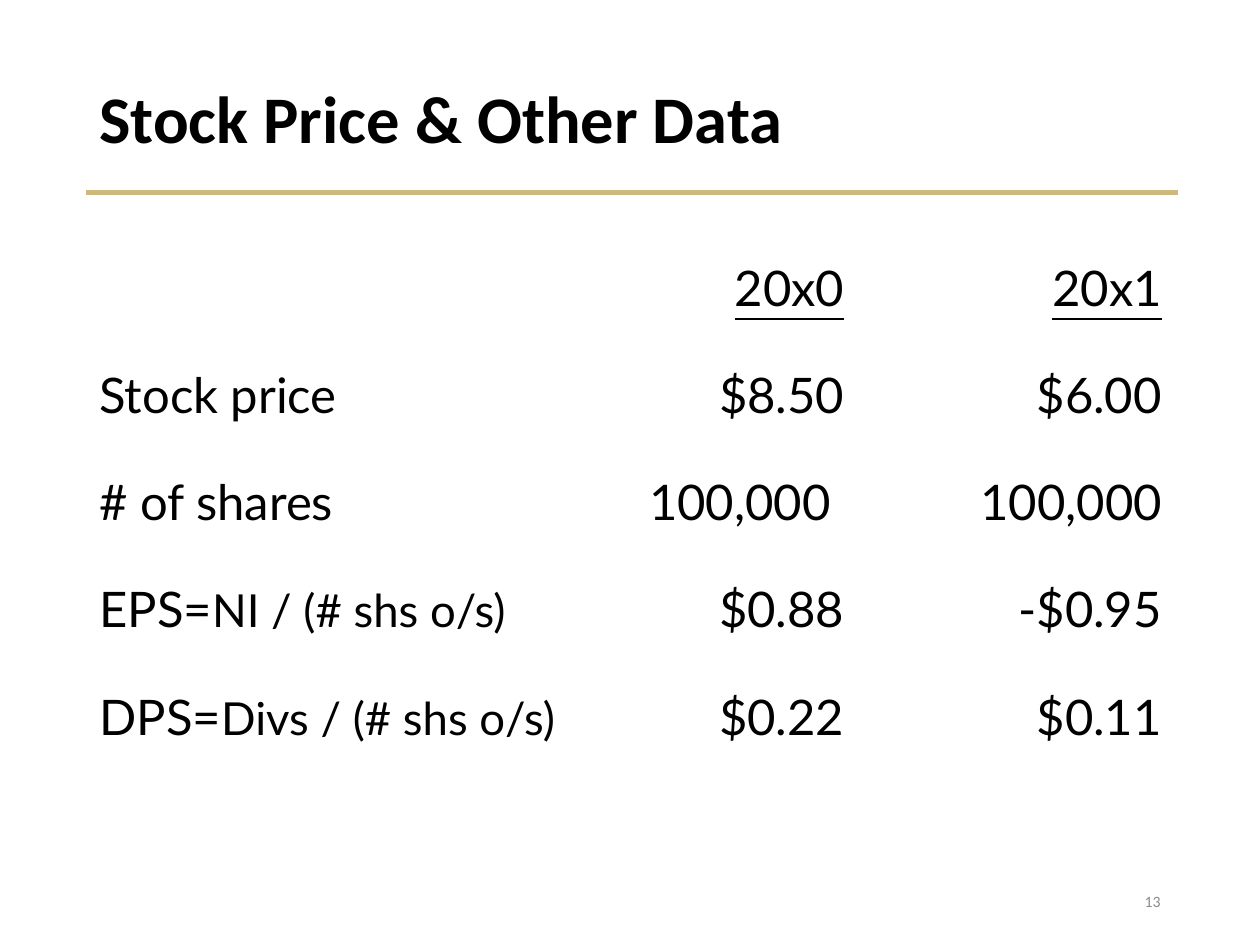
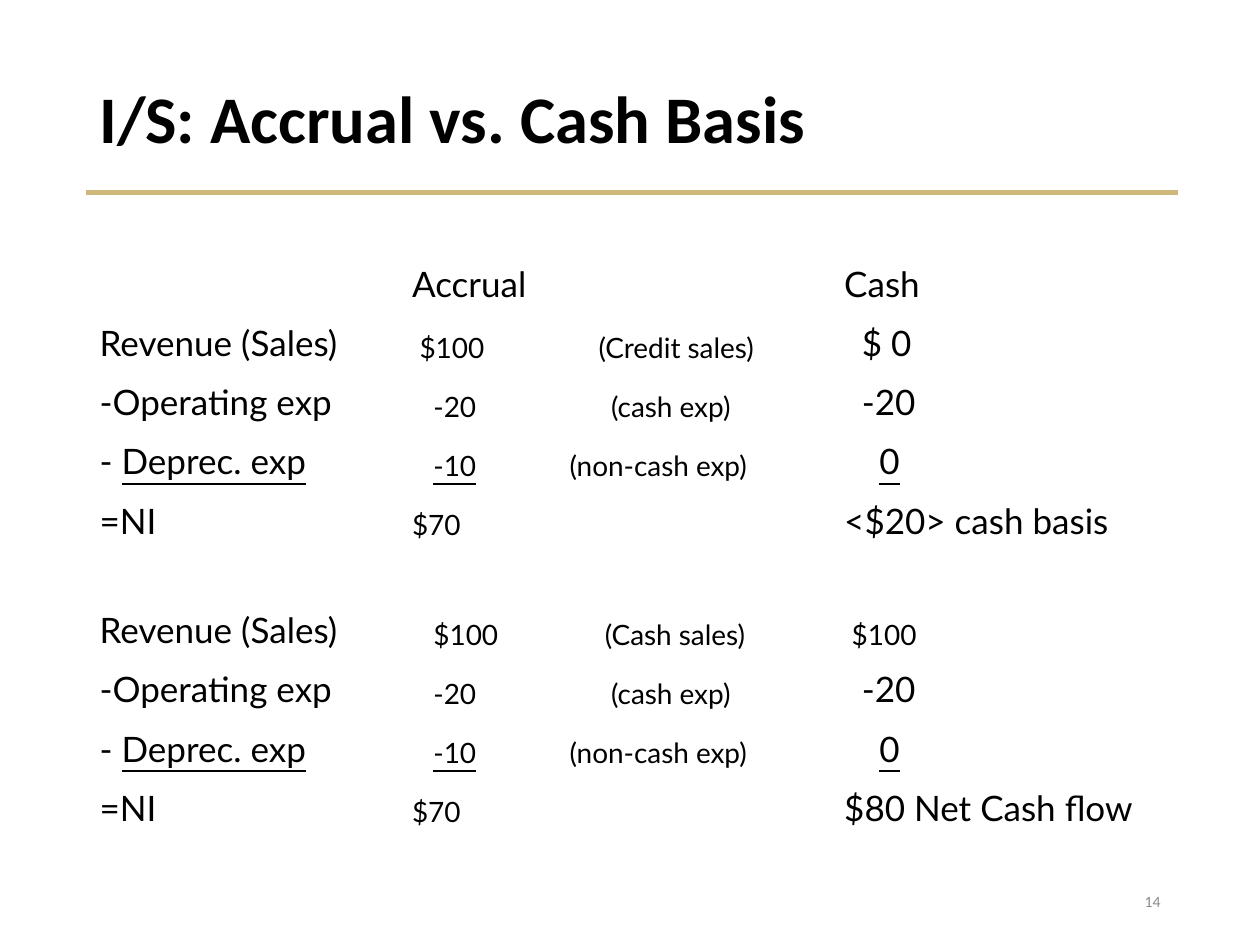
import dataclasses

import lxml.etree
import pptx
import pptx.dml.color
import pptx.enum.shapes
import pptx.enum.text
import pptx.oxml.ns
import pptx.util

Inches = pptx.util.Inches
Align = pptx.enum.text.PP_ALIGN
Anchor = pptx.enum.text.MSO_ANCHOR
qn = pptx.oxml.ns.qn


@dataclasses.dataclass(frozen=True)
class Theme:
    ink: str = "000000"
    gold: str = "CFB87C"
    gray: str = "8C8C8C"
    heading_font: str = "Calibri"
    table_font: str = "Lato"
    title: int = 38
    figure: int = 28
    formula: int = 26
    entry: int = 20
    note: int = 16
    number: int = 9


THEME = Theme()
LEFT = 0.69
WIDTH = 8.62


def add_run(para, text, size, font=THEME.table_font, color=THEME.ink, bold=False, underline=False):
    span = para.add_run()
    span.text = text
    span.font.size = pptx.util.Pt(size)
    span.font.name = font
    span.font.color.rgb = pptx.dml.color.RGBColor.from_string(color)
    span.font.bold = bold
    span.font.underline = underline


def add_plain_table(page, widths, heights):
    """Add a table without header, banding or cell fills."""
    table = page.shapes.add_table(len(heights), len(widths), Inches(LEFT), Inches(2),
                                  Inches(sum(widths)), Inches(sum(heights))).table
    table.first_row = False
    table.horz_banding = False
    for column, width in zip(table.columns, widths):
        column.width = Inches(width)
    for row, height in zip(table.rows, heights):
        row.height = Inches(height)
    for cell in table.iter_cells():
        cell.fill.background()
    return table


deck = pptx.Presentation()
deck.slide_width = Inches(10)
deck.slide_height = Inches(7.5)

# Shared frame: gold rule, title and page number
pages = []
for number, title in ((13, "Stock Price & Other Data"), (14, "I/S: Accrual vs. Cash Basis")):
    page = deck.slides.add_slide(deck.slide_layouts[6])
    pages.append(page)
    rule = page.shapes.add_connector(pptx.enum.shapes.MSO_CONNECTOR.STRAIGHT,
                                     Inches(0.68), Inches(1.53), Inches(9.35), Inches(1.53))
    rule.line.color.rgb = pptx.dml.color.RGBColor.from_string(THEME.gold)
    rule.line.width = pptx.util.Pt(3)
    lxml.etree.SubElement(rule._element.spPr, qn("a:effectLst"))

    title_box = page.shapes.add_textbox(Inches(LEFT), Inches(0.4), Inches(WIDTH), Inches(1.13))
    number_box = page.shapes.add_textbox(Inches(7.06), Inches(6.95), Inches(2.25), Inches(0.4))
    for box in (title_box, number_box):
        box.text_frame.word_wrap = True
        box.text_frame.vertical_anchor = Anchor.MIDDLE
    para = title_box.text_frame.paragraphs[0]
    para.line_spacing = 0.9
    add_run(para, title, THEME.title, THEME.heading_font, bold=True)
    para = number_box.text_frame.paragraphs[0]
    para.alignment = Align.RIGHT
    add_run(para, str(number), THEME.number, THEME.heading_font, THEME.gray)

# Stock data: label, smaller formula, one figure per year
stock_rows = [
    ("", "", "20x0", "20x1"),
    ("Stock price", "", "$8.50", "$6.00"),
    ("# of shares", "", "100,000", "100,000"),
    ("EPS=", "NI / (# shs o/s)", "$0.88", "-$0.95"),
    ("DPS=", "Divs / (# shs o/s)", "$0.22", "$0.11"),
]
stock_table = add_plain_table(pages[0], [4.25, 1.86, 2.52], [0.85] * 4 + [1.92])
for row, (label, formula, *figures) in enumerate(stock_rows):
    para = stock_table.cell(row, 0).text_frame.paragraphs[0]
    for text, size in ((label, THEME.figure), (formula, THEME.formula)):
        if text:
            add_run(para, text, size)
    for column, figure in enumerate(figures, 1):
        para = stock_table.cell(row, column).text_frame.paragraphs[0]
        para.alignment = Align.RIGHT
        add_run(para, figure, THEME.figure, underline=row == 0)
stock_table.cell(2, 1).margin_right = Inches(0.21)

# Income statements: each cell is (tab stops, type size, runs of (text, underlined))
NO_TABS = ()
operating_row = [
    (NO_TABS, THEME.entry, [("-Operating exp", False)]),
    ((0.17, 1.58), THEME.note, [("\t-20\t(cash exp)", False)]),
    ((0.14,), THEME.entry, [("\t-20", False)]),
]
depreciation_row = [
    (NO_TABS, THEME.entry, [("- ", False), ("Deprec. exp", True)]),
    ((0.17, 1.25), THEME.note, [("\t-10\t", True), ("(non-cash exp)", False)]),
    ((0.28,), THEME.entry, [("\t0", True)]),
]
revenue_label = (NO_TABS, THEME.entry, [("Revenue (Sales)", False)])
statements = [
    ([((0.06, 1.48), THEME.note, [("\t$100\t(Credit sales)", False)]),
      ((0.14,), THEME.entry, [("\t$ 0", False)])], "<$20> cash basis"),
    ([((0.17, 1.53), THEME.note, [("\t$100\t(Cash sales)", False)]),
      ((0.06,), THEME.note, [("\t$100", False)])], "$80 Net Cash flow"),
]
heading_row = [(NO_TABS, THEME.entry, [(text, False)] if text else [])
               for text in ("", "Accrual", "Cash")]
statement_rows = [heading_row]
for revenue, cash_result in statements:
    income_row = [(NO_TABS, size, [(text, False)]) for text, size in
                  (("=NI", THEME.entry), ("$70", THEME.note), (cash_result, THEME.entry))]
    statement_rows += [[revenue_label, *revenue], operating_row, depreciation_row, income_row, []]

statement_table = add_plain_table(pages[1], [2.48, 3.43, 2.72], [0.47] * 5 + [0.4] + [0.47] * 5)
for row, cells in enumerate(statement_rows):
    for column, (stops, size, runs) in enumerate(cells):
        cell = statement_table.cell(row, column)
        cell.vertical_anchor = Anchor.BOTTOM
        para = cell.text_frame.paragraphs[0]
        if stops:
            tab_list = lxml.etree.SubElement(para._p.get_or_add_pPr(), qn("a:tabLst"))
            for stop in stops:
                lxml.etree.SubElement(tab_list, qn("a:tab"), pos=str(Inches(stop)), algn="l")
        for text, underlined in runs:
            add_run(para, text, size, underline=underlined)

deck.save("out.pptx")
